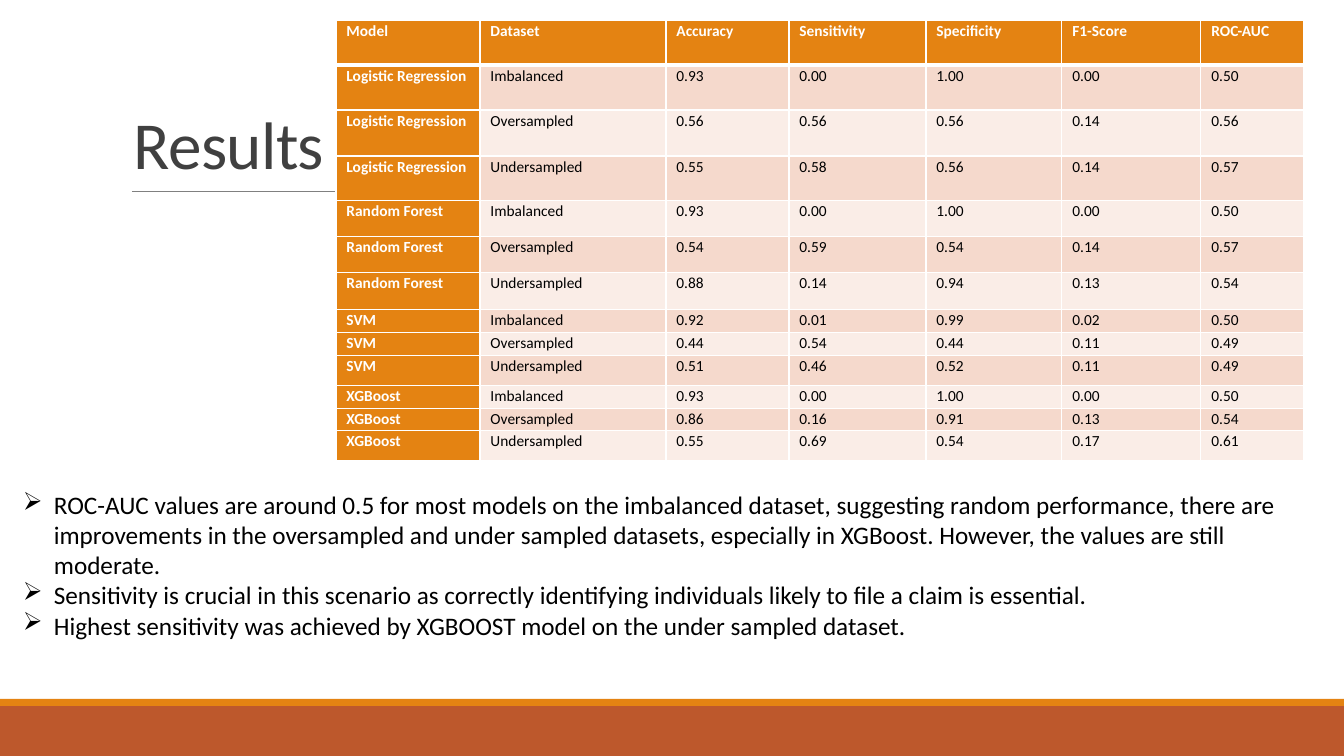
from dataclasses import dataclass
from itertools import product

from pptx import Presentation
from pptx.dml.color import RGBColor as Rgb
from pptx.enum.shapes import MSO_CONNECTOR as Connector, MSO_SHAPE as Shape
from pptx.enum.text import MSO_ANCHOR as Anchor, MSO_AUTO_SIZE as AutoSize
from pptx.oxml.ns import qn
from pptx.util import Pt
from lxml.etree import SubElement

PX = 914400 / 100.8
WIDTH, HEIGHT = 1344, 756


@dataclass(frozen=True)
class Theme:
    font: str = "Calibri"
    orange: str = "E48312"
    rust: str = "BD582C"
    band_dark: str = "F5D9CC"
    band_light: str = "FAEDE7"
    white: str = "FFFFFF"
    black: str = "000000"
    heading: str = "404040"
    rule: str = "808080"
    title_size: int = 48
    body_size: int = 18
    cell_size: int = 11


def px(length):
    return round(length * PX)


class SlideBuilder:
    """Draws styled elements on one slide."""

    def __init__(self, slide, theme):
        self.shapes = slide.shapes
        self.theme = theme

    def bar(self, left, top, width, height, color):
        bar = self.shapes.add_shape(Shape.RECTANGLE, px(left), px(top), px(width), px(height))
        bar.shadow.inherit = False
        bar.fill.solid()
        bar.fill.fore_color.rgb = Rgb.from_string(color)
        bar.line.fill.background()

    def rule(self, left, right, y):
        rule = self.shapes.add_connector(Connector.STRAIGHT, px(left), px(y), px(right), px(y))
        rule.line.color.rgb = Rgb.from_string(self.theme.rule)
        rule.line.width = Pt(0.5)
        SubElement(rule._element.spPr, qn("a:effectLst"))

    def run(self, paragraph, words, size, color, bold=False):
        run = paragraph.add_run()
        run.text = words
        run.font.name = self.theme.font
        run.font.size = Pt(size)
        run.font.bold = bold
        run.font.color.rgb = Rgb.from_string(color)
        return run

    def frame(self, left, top, width, height):
        frame = self.shapes.add_textbox(px(left), px(top), px(width), px(height)).text_frame
        frame.word_wrap = True
        return frame

    def title(self, left, top, width, height, words):
        frame = self.frame(left, top, width, height)
        frame.vertical_anchor = Anchor.BOTTOM
        heading = frame.paragraphs[0]
        heading.line_spacing = 0.85
        run = self.run(heading, words, self.theme.title_size, self.theme.heading)
        run.font._element.set("spc", "-50")

    def bullets(self, left, top, width, height, findings):
        frame = self.frame(left, top, width, height)
        frame.auto_size = AutoSize.SHAPE_TO_FIT_TEXT
        for index, finding in enumerate(findings):
            paragraph = frame.add_paragraph() if index else frame.paragraphs[0]
            props = paragraph._p.get_or_add_pPr()
            props.set("marL", str(px(31)))
            props.set("indent", str(-px(31)))
            SubElement(props, qn("a:buChar"), char="➢")
            self.run(paragraph, finding, self.theme.body_size, self.theme.black)

    def cell(self, cell, words, fill, color, bold, top_line, bottom_line):
        cell.margin_left = cell.margin_right = px(7)
        cell.margin_top = cell.margin_bottom = 0
        props = cell._tc.get_or_add_tcPr()
        for side, points in zip("LRTB", (1, 1, top_line, bottom_line)):
            border = SubElement(props, qn(f"a:ln{side}"), w=str(Pt(points)))
            paint = SubElement(border, qn("a:solidFill"))
            SubElement(paint, qn("a:srgbClr"), val=self.theme.white)
        cell.fill.solid()
        cell.fill.fore_color.rgb = Rgb.from_string(fill)
        paragraph = cell.text_frame.paragraphs[0]
        paragraph.line_spacing = 1.07
        self.run(paragraph, f" {words}", self.theme.cell_size, color, bold)

    def table(self, left, top, widths, heights, rows):
        theme = self.theme
        table = self.shapes.add_table(len(rows), len(widths), px(left), px(top),
                                      px(sum(widths)), px(sum(heights))).table
        table.horz_banding = False
        for column, width in zip(table.columns, widths):
            column.width = px(width)
        for row, height in zip(table.rows, heights):
            row.height = px(height)
        for r, c in product(range(len(rows)), range(len(widths))):
            label = r == 0 or c == 0
            band = theme.band_dark if r % 2 else theme.band_light
            self.cell(table.cell(r, c), rows[r][c],
                      theme.orange if label else band,
                      theme.white if label else theme.black, label,
                      3 if r == 1 else 1, 3 if r == 0 else 1)


HEADER = ("Model", "Dataset", "Accuracy", "Sensitivity", "Specificity", "F1-Score", "ROC-AUC")
MODELS = ("Logistic Regression", "Random Forest", "SVM", "XGBoost")
DATASETS = ("Imbalanced", "Oversampled", "Undersampled")
SCORES = (
    "0.93 0.00 1.00 0.00 0.50",
    "0.56 0.56 0.56 0.14 0.56",
    "0.55 0.58 0.56 0.14 0.57",
    "0.93 0.00 1.00 0.00 0.50",
    "0.54 0.59 0.54 0.14 0.57",
    "0.88 0.14 0.94 0.13 0.54",
    "0.92 0.01 0.99 0.02 0.50",
    "0.44 0.54 0.44 0.11 0.49",
    "0.51 0.46 0.52 0.11 0.49",
    "0.93 0.00 1.00 0.00 0.50",
    "0.86 0.16 0.91 0.13 0.54",
    "0.55 0.69 0.54 0.17 0.61",
)
COLUMN_WIDTHS = (144, 186, 123, 137, 136, 139, 103)
ROW_HEIGHTS = (45, 45, 46, 45, 36, 36, 37, 23, 23, 30, 23, 22, 30)
FINDINGS = (
    "ROC-AUC values are around 0.5 for most models on the imbalanced dataset, suggesting random "
    "performance, there are improvements in the oversampled and under sampled datasets, especially "
    "in XGBoost. However, the values are still moderate.",
    "Sensitivity is crucial in this scenario as correctly identifying individuals likely to file "
    "a claim is essential.",
    "Highest sensitivity was achieved by XGBOOST model on the under sampled dataset.",
)


def main():
    deck = Presentation()
    deck.slide_width, deck.slide_height = px(WIDTH), px(HEIGHT)
    theme = Theme()
    results = SlideBuilder(deck.slides.add_slide(deck.slide_layouts[6]), theme)
    results.bar(0, 706, WIDTH, 50, theme.rust)
    results.bar(0, 699, WIDTH, 7, theme.orange)
    results.rule(132, 1231, 191)
    results.title(124, 100, 1109, 88, "Results")
    rows = [HEADER] + [(*case, *scores.split())
                       for case, scores in zip(product(MODELS, DATASETS), SCORES)]
    results.table(336, 20, COLUMN_WIDTHS, ROW_HEIGHTS, rows)
    results.bullets(13, 484, 1320, 163, FINDINGS)
    deck.save("out.pptx")


if __name__ == "__main__":
    main()
